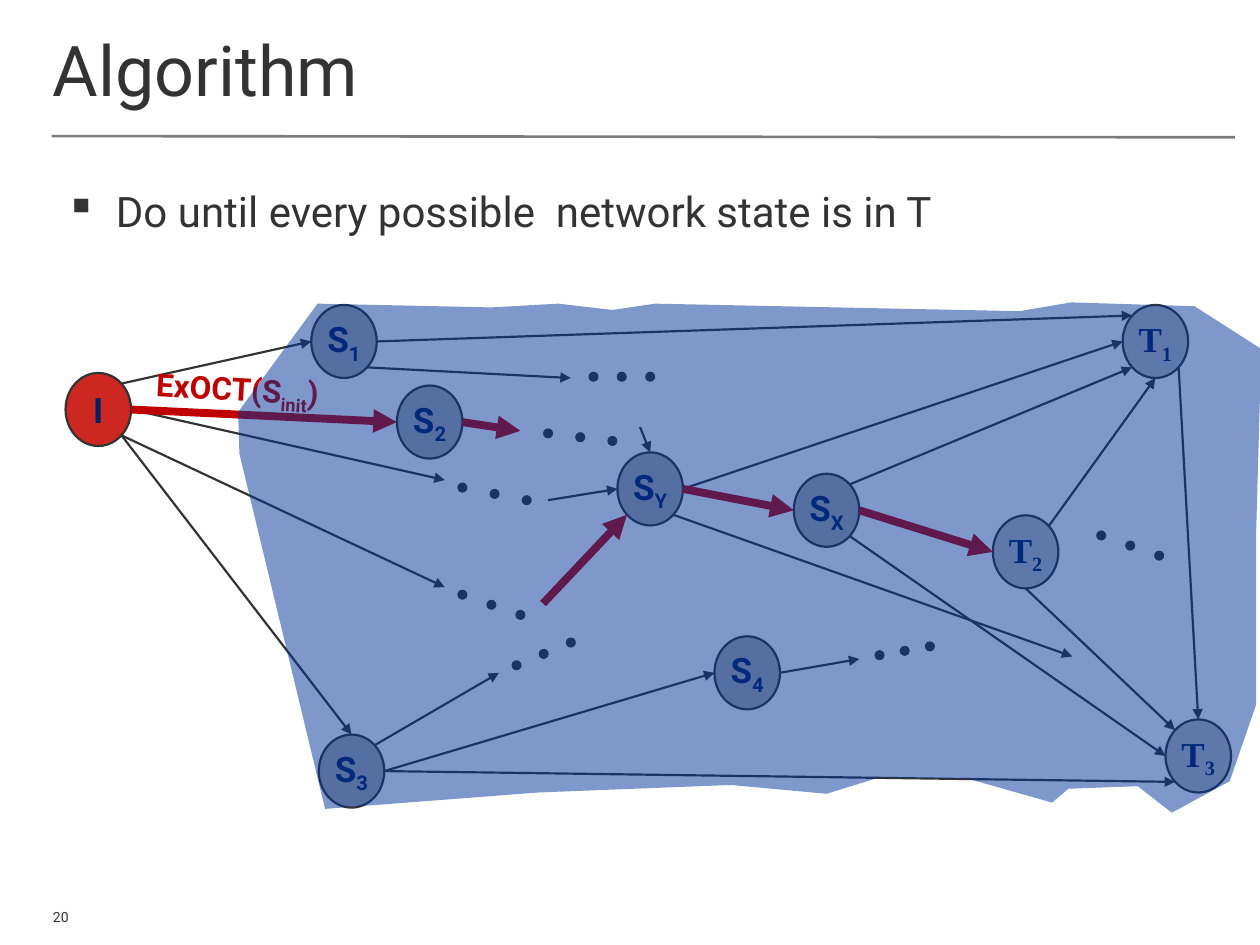
from pptx import Presentation
from pptx import util as u
from pptx.dml.color import RGBColor
from pptx.enum import shapes, text
from pptx.oxml.ns import qn
from pptx.oxml.xmlchemy import OxmlElement

INK, NAVY, CRIMSON = "333333", "002060", "C00000"
NODE_W, NODE_H, DOT = 0.52, 0.58, 0.08
LEFT, WIDTH = 0.42, 9.39
SANS, SERIF = "Roboto", "Times New Roman"

# Left and top of each node; the first letter of its name sets the style
NODES = {
    "I": (0.52, 2.96), "S1": (2.47, 2.42), "S2": (3.15, 3.06),
    "S3": (2.53, 5.83), "S4": (5.67, 5.05), "SX": (6.3, 3.76),
    "SY": (4.9, 3.59), "T1": (8.91, 2.42), "T2": (7.88, 4.09),
    "T3": (9.25, 5.71),
}
STYLES = {"I": ("CC2720", SANS), "S": ("ADADAD", SANS), "T": ("BFBFBF", SERIF)}

# Ends are "node side" or a free point
TRANSITIONS = [
    ("I NE", "S1 W"), ("I SE", "S3 N"), ("I SE", (3.53, 4.66)),
    ("I E", (3.53, 3.81)), ("S1 E", "T1 NW"), ("S1 SE", (4.53, 3)),
    ("S3 E", "T3 SW"), ("S3 E", "S4 W"), ("S3 NE", (3.96, 5.34)),
    ("S4 E", (6.82, 5.23)), ("SY E", "T1 W"), ("SY SE", (8.51, 5.21)),
    ((4.35, 3.97), "SY W"), ((5.08, 3.39), "SY N"),
    ("SX NE", "T1 SW"), ("SX SE", "T3 W"), ("T2 NE", "T1 S"),
    ("T2 S", "T3 NW"), ("T1 SE", "T3 N"),
]
CHOSEN = [("I E", "S2 W"), ("S2 E", (4.13, 3.42)), ((4.31, 4.79), "SY SW"),
          ("SY E", "SX W"), ("SX E", "T2 W")]

# First and last dot of each ellipsis
ELLIPSES = [
    ((4.67, 2.95), (5.12, 2.95)), ((4.31, 3.4), (4.82, 3.46)),
    ((3.63, 3.83), (4.14, 3.93)), ((3.63, 4.68), (4.09, 4.84)),
    ((4.06, 5.24), (4.49, 5.06)), ((6.94, 5.16), (7.34, 5.09)),
    ((8.7, 4.21), (9.16, 4.37)),
]

# Corners of the covered states
REGION = [
    (2.52, 2.41), (1.89, 3.27), (1.9, 3.6), (2.58, 6.42), (4.27, 6.29),
    (5.8, 6.23), (6.56, 6.3), (6.98, 6.17), (7.68, 6.18), (8.35, 6.37),
    (8.48, 6.26), (9.03, 6.24), (9.3, 6.45), (9.76, 6.2), (9.97, 5.59),
    (9.97, 4.2), (10.01, 2.77), (9.48, 2.43), (8.5, 2.4), (8.09, 2.47),
    (5.2, 2.41), (4.86, 2.46), (4.43, 2.41), (3.9, 2.44),
]


def color(hex_string):
    return RGBColor.from_string(hex_string)


def inches(*lengths):
    return [u.Inches(length) for length in lengths]


def write(frame, parts, size, ink, font=SANS, bold=False, align=None):
    """Fill the first paragraph; every second part is a subscript."""
    paragraph = frame.paragraphs[0]
    paragraph.alignment = align
    for i, part in enumerate(parts):
        run = paragraph.add_run()
        run.text = part
        run.font.name, run.font.size, run.font.bold = font, u.Pt(size), bold
        run.font.color.rgb = color(ink)
        if i % 2:
            run._r.get_or_add_rPr().set("baseline", "-25000")
    return paragraph


def set_frame(frame, insets, anchor, wrap=True):
    (frame.margin_left, frame.margin_top,
     frame.margin_right, frame.margin_bottom) = inches(*insets * 2)
    frame.vertical_anchor, frame.word_wrap = anchor, wrap
    frame.auto_size = text.MSO_AUTO_SIZE.NONE


def add_text(slide, box, insets, anchor=text.MSO_ANCHOR.TOP):
    textbox = slide.shapes.add_textbox(*inches(*box))
    set_frame(textbox.text_frame, insets, anchor)
    return textbox


def add_oval(slide, box, fill):
    oval = slide.shapes.add_shape(shapes.MSO_SHAPE.OVAL, *inches(*box))
    oval.shadow.inherit = False
    oval.fill.solid()
    oval.fill.fore_color.rgb = color(fill)
    oval.line.fill.background()
    return oval


def add_node(slide, name):
    fill, font = STYLES[name[0]]
    node = add_oval(slide, (*NODES[name], NODE_W, NODE_H), fill)
    node.line.color.rgb, node.line.width = color(INK), u.Pt(1.25)
    set_frame(node.text_frame, (0.1, 0.05), text.MSO_ANCHOR.MIDDLE, wrap=False)
    write(node.text_frame, list(name), 20, NAVY, font, True, text.PP_ALIGN.CENTER)


def add_ellipsis(slide, first, last):
    for step in (0, 0.5, 1):
        left, top = (a + (b - a) * step for a, b in zip(first, last))
        add_oval(slide, (left, top, DOT, DOT), INK)


def locate(end):
    """Point on a node's rim for a compass side, or the free point itself."""
    if isinstance(end, tuple):
        return end
    name, side = end.split()
    left, top = NODES[name]
    reach = 0.71 if len(side) == 2 else 1
    dx = (("E" in side) - ("W" in side)) * reach
    dy = (("S" in side) - ("N" in side)) * reach
    return left + NODE_W / 2 * (1 + dx), top + NODE_H / 2 * (1 + dy)


def add_line(slide, start, end, ink, width, arrow=True):
    line = slide.shapes.add_connector(
        shapes.MSO_CONNECTOR.STRAIGHT, *inches(*locate(start), *locate(end)))
    line.line.color.rgb, line.line.width = color(ink), u.Pt(width)
    if arrow:
        tail = OxmlElement("a:tailEnd")
        tail.set("type", "triangle")
        line.line._get_or_add_ln().append(tail)
    line._element.spPr.append(OxmlElement("a:effectLst"))


def add_region(slide):
    first, *rest = [inches(*corner) for corner in REGION]
    builder = slide.shapes.build_freeform(*first)
    builder.add_line_segments(rest, close=True)
    region = builder.convert_to_shape()
    region.shadow.inherit = False
    region.line.fill.background()
    region.fill.solid()
    region.fill.fore_color.rgb = color("003399")
    alpha = OxmlElement("a:alpha")
    alpha.set("val", "50000")
    region._element.spPr.find(".//" + qn("a:srgbClr")).append(alpha)


def add_headings(slide):
    title = slide.shapes.title
    title.left, title.top, title.width, title.height = inches(LEFT, 0, WIDTH, 1.08)
    set_frame(title.text_frame, (0, 0.05), text.MSO_ANCHOR.MIDDLE)
    write(title.text_frame, ["Algorithm"], 40, INK, align=text.PP_ALIGN.LEFT)
    add_line(slide, (0.41, 1.08), (9.8, 1.09), "7B7B7B", 1.5, arrow=False)

    # Bulleted statement
    body = add_text(slide, (LEFT, 1.42, WIDTH, 5.22), (0, 0.05))
    statement = write(body.text_frame,
                      ["Do until every possible  network state is in T"], 24, INK)
    properties = statement._p.get_or_add_pPr()
    properties.set("marL", str(u.Inches(0.5)))
    properties.set("indent", str(u.Inches(-0.4)))
    bullet = OxmlElement("a:buChar")
    bullet.set("char", "▪")
    properties.append(bullet)

    # Page number
    number = add_text(slide, (LEFT, 7.17, 0.32, 0.17), (0, 0), text.MSO_ANCHOR.BOTTOM)
    write(number.text_frame, ["20"], 8, INK)


def main():
    deck = Presentation()
    deck.slide_width, deck.slide_height = inches(10, 7.5)
    slide = deck.slides.add_slide(deck.slide_layouts[5])
    add_headings(slide)

    # State graph
    for name in NODES:
        add_node(slide, name)
    for start, end in TRANSITIONS:
        add_line(slide, start, end, INK, 1.25)
    for start, end in CHOSEN:
        add_line(slide, start, end, CRIMSON, 4.5)
    for first, last in ELLIPSES:
        add_ellipsis(slide, first, last)

    # Label of the first chosen transition
    label = add_text(slide, (1.14, 2.89, 1.76, 0.4), (0.1, 0.05))
    label.rotation = 3.3
    write(label.text_frame, ["ExOCT(S", "init", ")"], 18, CRIMSON, bold=True)

    # Translucent cover over the graph
    add_region(slide)
    deck.save("out.pptx")


if __name__ == "__main__":
    main()
